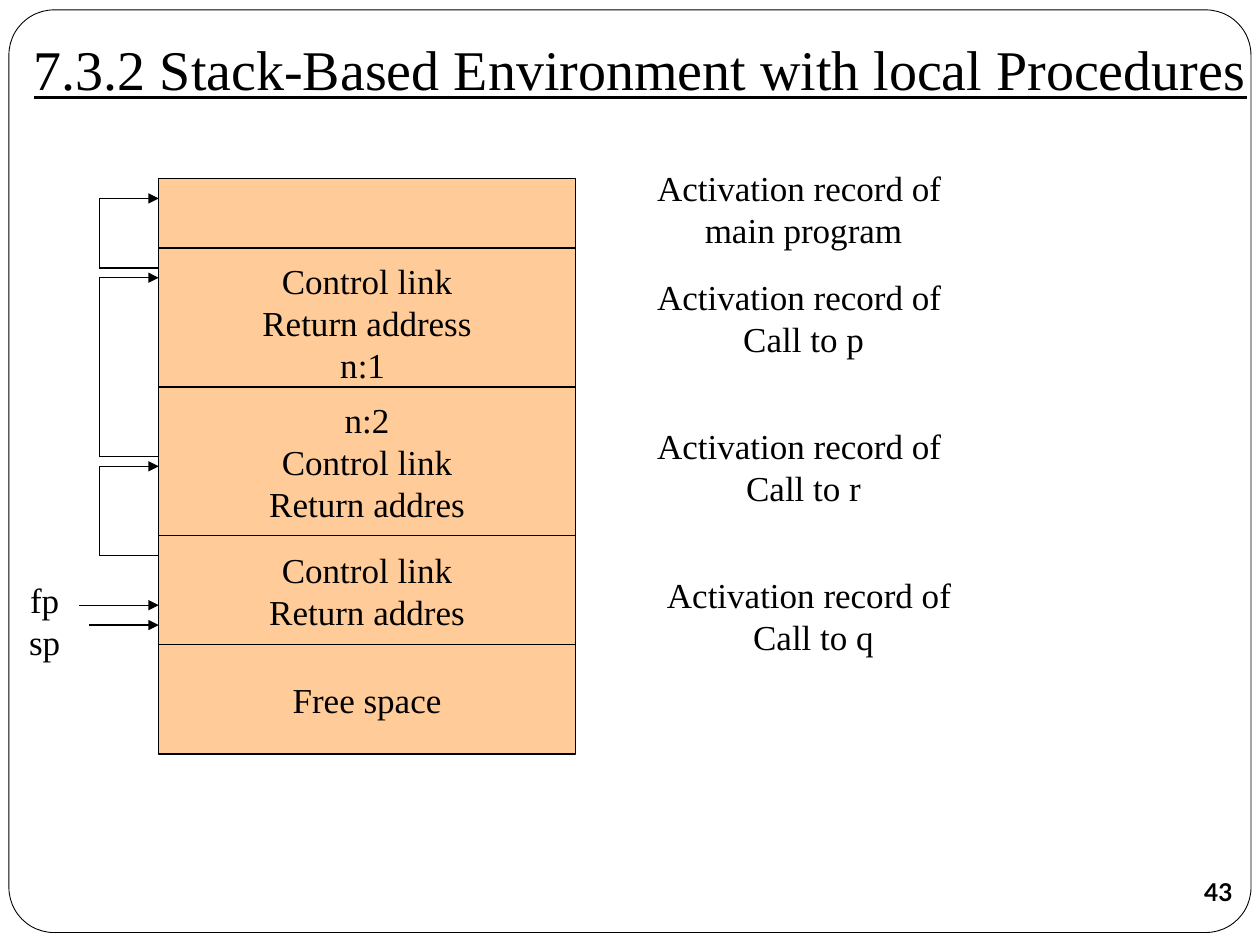
from lxml import etree
from pptx import Presentation
from pptx import util as u
from pptx.dml.color import RGBColor
from pptx.enum import shapes, text
from pptx.oxml.ns import qn

BLACK, WHITE, ORANGE = "000000", "FFFFFF", "FFCC99"
SERIF = "Times New Roman"

# (height, lines) of each record, from the top of the stack down
RECORDS = [
    (1.4, ""),
    (3.0, "Control link\nReturn address\nn:1 "),
    (3.0, "n:2\nControl link\nReturn addres"),
    (2.2, "Control link\nReturn addres"),
    (2.2, "Free space"),
]
RECORD_TOPS = [0, 1.4, 4.2, 7.2, 9.4]
# (start, end) heights of the control links
LINKS = [(1.8, 0.4), (5.6, 2.0), (7.6, 5.8)]
# (shift to the right, top, second line) of each label
LABELS = [
    (0, 0, "main program"),
    (0, 2.2, "Call to p"),
    (0, 5.2, "Call to r"),
    (0.2, 8.2, "Call to q"),
]


def color(value):
    return RGBColor.from_string(value)


def box(*lengths):
    return [u.Cm(n) for n in lengths]


def write(sp, content, size=20, font=SERIF, bold=False, align=text.PP_ALIGN.CENTER):
    tf = sp.text_frame
    tf.text = content
    tf.word_wrap = False
    tf.vertical_anchor = text.MSO_ANCHOR.MIDDLE
    for p in tf.paragraphs:
        p.alignment = align
        for r in p.runs:
            r.font.name, r.font.size, r.font.bold = font, u.Pt(size), bold
            r.font.color.rgb = color(BLACK)


def add_block(parent, kind, place, fill, width=0.75):
    sp = parent.add_shape(kind, *box(*place))
    sp.shadow.inherit = False
    sp.fill.solid()
    sp.fill.fore_color.rgb = color(fill)
    sp.line.color.rgb = color(BLACK)
    sp.line.width = u.Pt(width)
    return sp


def add_line(parent, start, end, arrow=False):
    line = parent.add_connector(shapes.MSO_CONNECTOR.STRAIGHT, *box(*start, *end))
    line.line.color.rgb = color(BLACK)
    line.line.width = u.Pt(0.75)
    if arrow:
        ln = line.line._get_or_add_ln()
        etree.SubElement(ln, qn("a:tailEnd"), type="triangle")
    etree.SubElement(line._element.spPr, qn("a:effectLst"))


def add_label(parent, place, content):
    write(parent.add_textbox(*box(*place)), content)


def add_frame(s, left, top, width, height):
    """Rounded page border, behind everything else."""
    sp = add_block(s.shapes, shapes.MSO_SHAPE.ROUNDED_RECTANGLE,
                   (left, top, width, height), WHITE, 0.5)
    sp.adjustments[0] = 0.049
    s.shapes._spTree.insert(2, sp._element)


def set_title(s, left, top, width, height):
    title = s.shapes.title
    title.left, title.top, title.width, title.height = box(left, top, width, height)
    write(title, "7.3.2 Stack-Based Environment with local Procedures", 32,
          align=text.PP_ALIGN.LEFT)
    tf = title.text_frame
    tf.word_wrap = True
    tf.auto_size = text.MSO_AUTO_SIZE.NONE
    tf.vertical_anchor = text.MSO_ANCHOR.BOTTOM
    tf.margin_bottom = u.Cm(0.25)
    tf.paragraphs[0].runs[0].font.underline = True


def add_stack(parent, left, top, width):
    for offset, (height, content) in zip(RECORD_TOPS, RECORDS):
        sp = add_block(parent, shapes.MSO_SHAPE.RECTANGLE,
                       (left, top + offset, width, height), ORANGE)
        write(sp, content)


def add_links(parent, left, top, width):
    """Control links that leave the stack, turn and point back up at it."""
    right = left + width
    for start, end in LINKS:
        low, high = top + start, top + end
        add_line(parent, (right, low), (left, low))
        add_line(parent, (left, low), (left, high))
        add_line(parent, (left, high), (right, high), arrow=True)


def add_pointers(parent, left, top, width):
    for x, y in [(1.6, 0.4), (1.8, 0.8)]:
        add_line(parent, (left + x, top + y), (left + width, top + y), arrow=True)
    add_label(parent, (left, top, 1.8, 1.4), "fp\nsp")


def add_record_labels(parent, left, top, width):
    for shift, offset, name in LABELS:
        add_label(parent, (left + shift, top + offset, width, 1.2),
                  "Activation record of \n" + name)


def add_page_number(s, left, top, size):
    sp = s.shapes.add_shape(shapes.MSO_SHAPE.OVAL, *box(left, top, size, size))
    sp.shadow.inherit = False
    sp.fill.background()
    sp.line.fill.background()
    write(sp, "43", 14, "Lato", True)
    tf = sp.text_frame
    tf.margin_left = tf.margin_right = tf.margin_top = tf.margin_bottom = 0


def main():
    prs = Presentation()
    prs.slide_width, prs.slide_height = box(25.4, 19.05)
    s = prs.slides.add_slide(prs.slide_layouts[5])
    add_frame(s, 0.18, 0.2, 25.04, 18.6)
    set_title(s, 0.43, 0.84, 26.47, 1.47)
    diagram = s.shapes.add_group_shape().shapes
    add_stack(diagram, 3.2, 3.6, 8.4)
    add_links(diagram, 2, 3.6, 1.2)
    add_pointers(diagram, 0, 11.8, 3.2)
    add_record_labels(diagram, 12.2, 3.6, 8)
    add_page_number(s, 23.93, 17.35, 1.27)
    prs.save("out.pptx")


if __name__ == "__main__":
    main()
